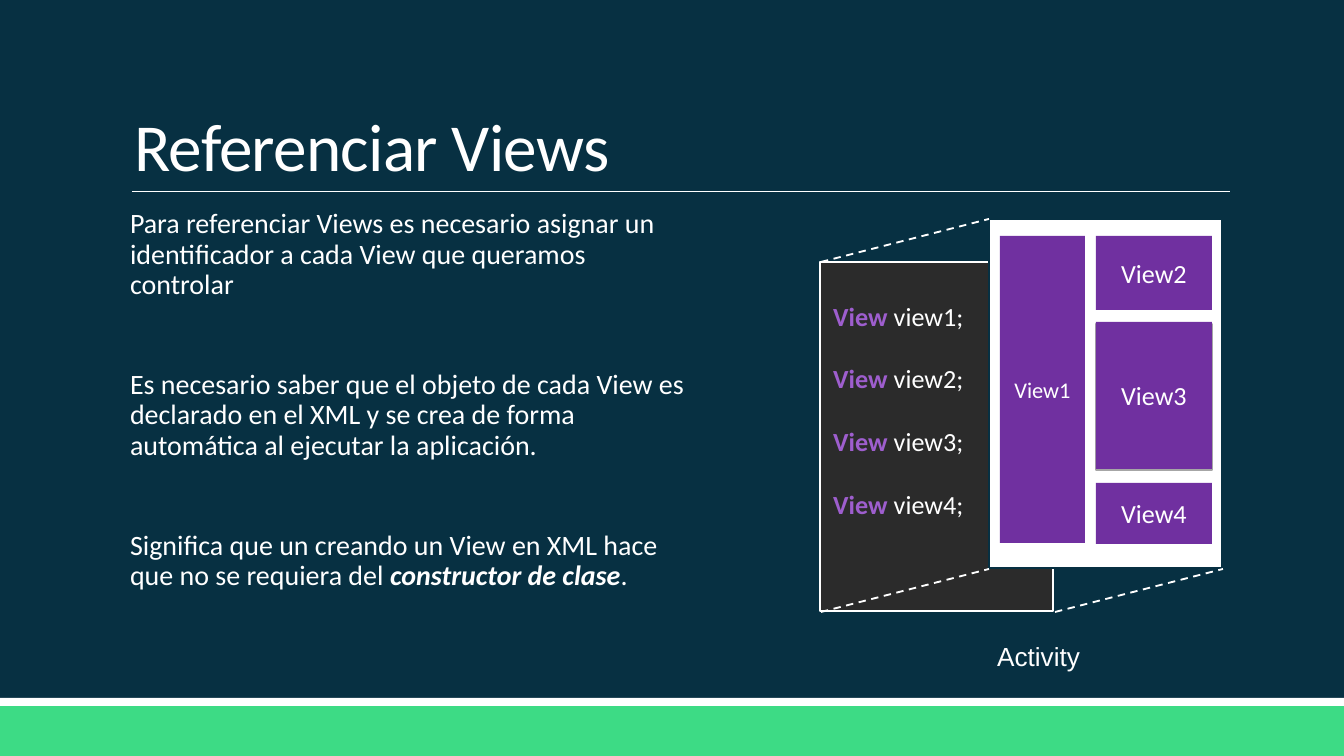
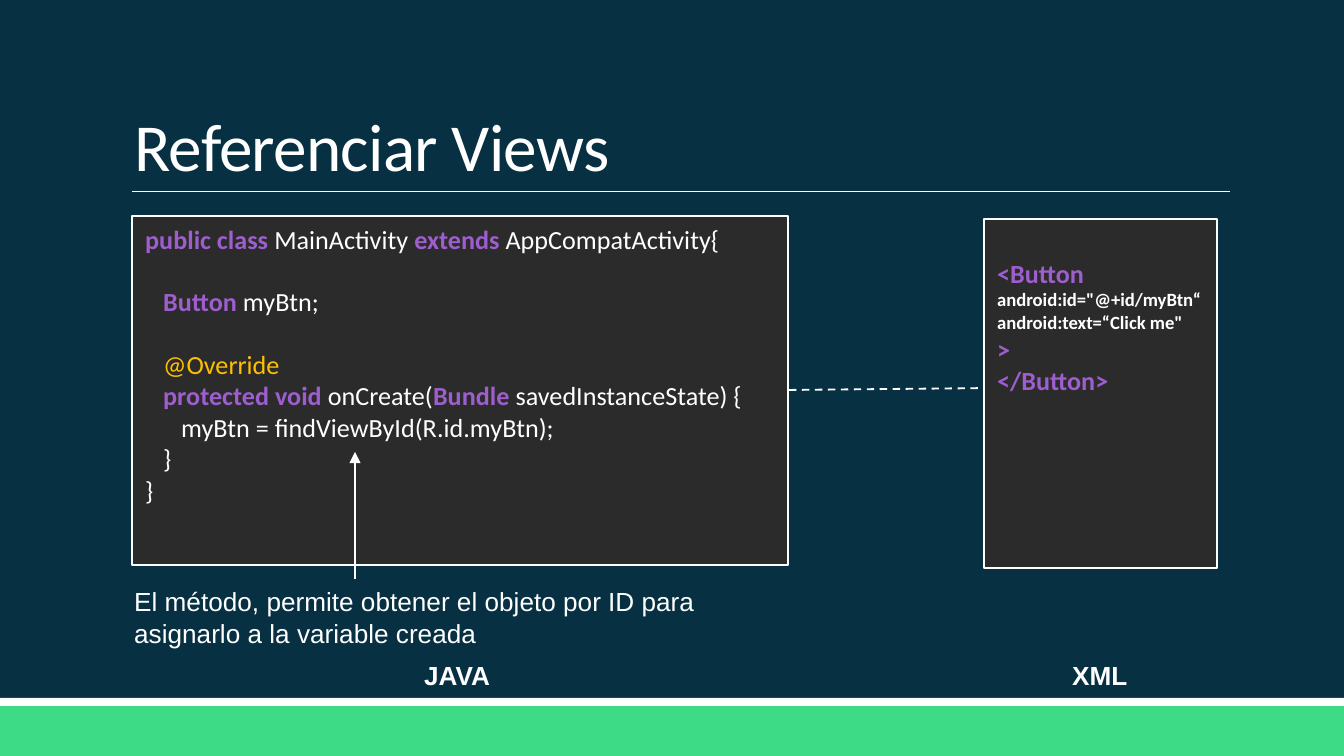
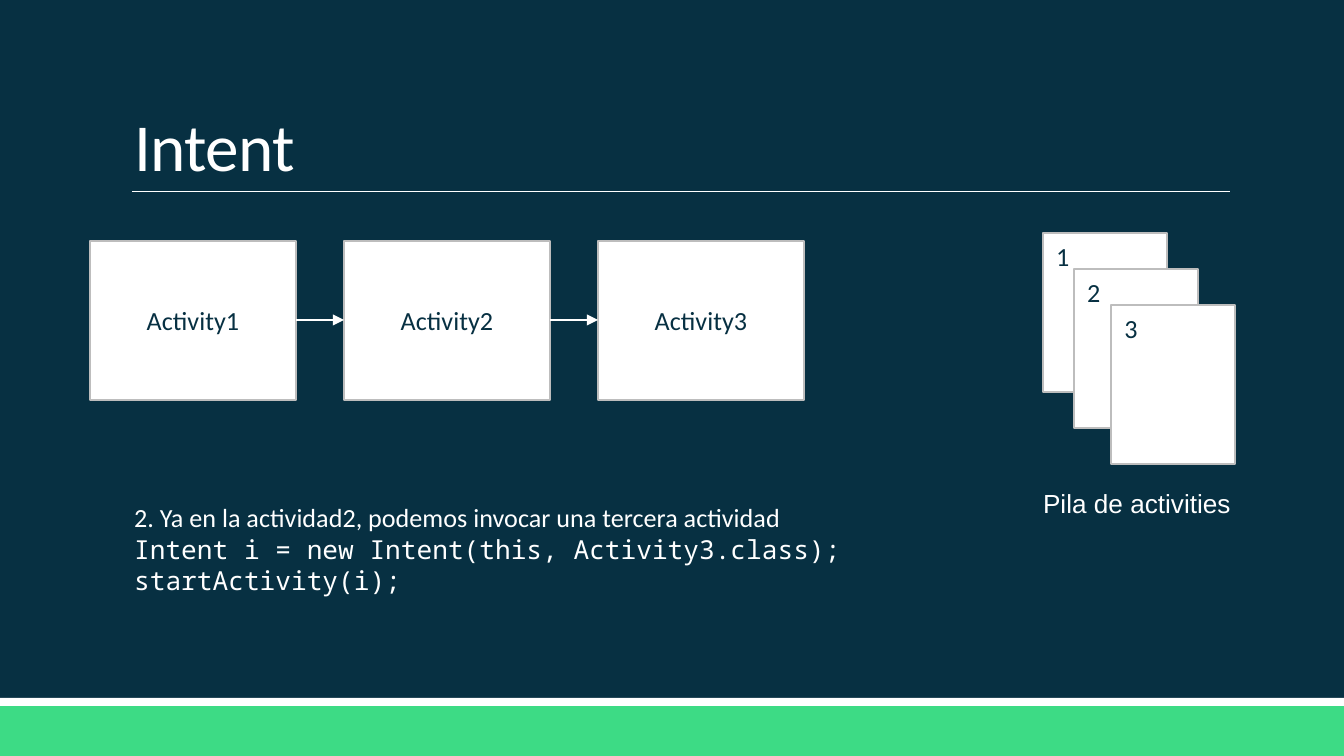
import dataclasses

import lxml.etree
import pptx
import pptx.dml.color
import pptx.enum.dml
import pptx.enum.shapes
import pptx.enum.text
import pptx.oxml.ns
import pptx.util

SCALE = 914400 / 134.4  # EMU in one px
ALIGN = pptx.enum.text.PP_ALIGN
ANCHOR = pptx.enum.text.MSO_ANCHOR
FIT = pptx.enum.text.MSO_AUTO_SIZE


@dataclasses.dataclass(frozen=True)
class Theme:
    navy: str = "073042"
    green: str = "3DDB85"
    white: str = "FFFFFF"
    dark: str = "2B2B2B"
    purple: str = "7030A0"
    lilac: str = "9E5ECE"
    amber: str = "FFC000"
    grey: str = "A6A6A6"
    edge: str = "BDBDBD"
    sans: str = "Calibri"
    plain: str = "Arial"
    mono: str = "Noto Sans Mono"
    head: int = 36
    body: int = 15
    text: int = 14
    small: int = 12
    tiny: int = 10
    border: float = 1.25
    blank: float = 16.8  # height of one empty code line


T = Theme()


@dataclasses.dataclass(frozen=True)
class Style:
    font: str = T.sans
    size: int = T.text
    color: str = T.white
    bold: bool = False
    italic: bool = False


CODE = Style()
KEY = Style(color=T.lilac, bold=True)
MARK = Style(color=T.amber)
ATTR = Style(size=T.tiny, bold=True)
MONO = Style(font=T.mono)
INK = Style(color=T.navy)
BODY = Style(size=T.body)
STRONG = Style(size=T.body, bold=True, italic=True)
LABEL = Style(font=T.plain)
TAG = Style(font=T.plain, bold=True)


@dataclasses.dataclass
class Line:
    runs: list
    indent: int = 0
    gap: float = 0


def px(n):
    return pptx.util.Emu(round(n * SCALE))


def rgb(code):
    return pptx.dml.color.RGBColor.from_string(code)


# Text

def format_run(run, style):
    font = run.font
    font.name, font.size = style.font, pptx.util.Pt(style.size)
    font.bold, font.italic = style.bold, style.italic
    font.color.rgb = rgb(style.color)


def write(frame, lines, align=ALIGN.LEFT):
    for i, line in enumerate(lines):
        para = frame.add_paragraph() if i else frame.paragraphs[0]
        para.alignment = align
        para.space_before = pptx.util.Pt(line.gap)
        props = para._p.get_or_add_pPr()
        props.set("marL", str(px(line.indent)))
        props.set("indent", "0")
        for text, style in line.runs:
            run = para.add_run()
            run.text = text
            format_run(run, style)


def label(slide, box, lines, align=ALIGN.LEFT, wrap=True):
    frame = slide.shapes.add_textbox(*map(px, box)).text_frame
    frame.word_wrap = wrap
    frame.auto_size = FIT.SHAPE_TO_FIT_TEXT
    write(frame, lines, align)


def title(slide, text):
    shape = slide.shapes.title
    shape.left, shape.top, shape.width, shape.height = map(px, (121, 32, 1109, 160))
    frame = shape.text_frame
    frame.text = text
    frame.vertical_anchor = ANCHOR.BOTTOM
    frame.auto_size = FIT.NONE
    para = frame.paragraphs[0]
    para.alignment = ALIGN.LEFT
    para.line_spacing = 0.85
    run = para.runs[0]
    format_run(run, Style(size=T.head))
    run.font._element.set("spc", "-40")


def body(slide, box, lines):
    shape = slide.placeholders[1]
    shape.left, shape.top, shape.width, shape.height = map(px, box)
    frame = shape.text_frame
    frame.auto_size = FIT.NONE
    frame.margin_left = frame.margin_right = 0
    write(frame, lines)
    for para in frame.paragraphs:
        para.line_spacing = 0.9
        para.space_after = pptx.util.Pt(1.5)
        lxml.etree.SubElement(para._p.pPr, pptx.oxml.ns.qn("a:buNone"))


# Shapes

def rect(slide, box, fill, edge=None):
    kind = pptx.enum.shapes.MSO_SHAPE.RECTANGLE
    shape = slide.shapes.add_shape(kind, *map(px, box))
    shape.shadow.inherit = False
    shape.fill.solid()
    shape.fill.fore_color.rgb = rgb(fill)
    if edge:
        shape.line.color.rgb = rgb(edge)
        shape.line.width = pptx.util.Pt(T.border)
    else:
        shape.line.fill.background()
    return shape


def tile(slide, box, text, fill, style, edge=None):
    frame = rect(slide, box, fill, edge).text_frame
    frame.vertical_anchor = ANCHOR.MIDDLE
    write(frame, [Line([(text, style)])], ALIGN.CENTER)


def panel(slide, box, lines, fill=T.dark, edge=T.white, top=7):
    frame = rect(slide, box, fill, edge).text_frame
    frame.vertical_anchor = ANCHOR.TOP
    frame.margin_top = px(top)
    write(frame, lines)


def link(slide, start, end, width=1, dash=False, arrow=False):
    kind = pptx.enum.shapes.MSO_CONNECTOR.STRAIGHT
    conn = slide.shapes.add_connector(kind, *map(px, start + end))
    conn.line.color.rgb = rgb(T.white)
    conn.line.width = pptx.util.Pt(width)
    if dash:
        conn.line.dash_style = pptx.enum.dml.MSO_LINE.DASH
    qn = pptx.oxml.ns.qn
    if arrow:
        tail = lxml.etree.SubElement(conn.line._get_or_add_ln(), qn("a:tailEnd"))
        tail.set("type", "triangle")
    lxml.etree.SubElement(conn._element.spPr, qn("a:effectLst"))


# Slides

def start(deck, layout, text):
    slide = deck.slides.add_slide(deck.slide_layouts[layout])
    rect(slide, (0, 706, 1344, 50), T.green)
    rect(slide, (0, 698, 1344, 8), T.white)
    link(slide, (132, 192), (1230, 192), width=0.5)
    title(slide, text)
    return slide


def views(deck):
    slide = start(deck, 1, "Referenciar Views")
    body(slide, (121, 203, 573, 444), [
        Line(runs, indent=9, gap=36) for runs in (
            [("Para referenciar Views es necesario asignar un identificador "
              "a cada View que queramos controlar", BODY)],
            [("Es necesario saber que el objeto de cada View es declarado en el XML "
              "y se crea de forma automática al ejecutar la aplicación.", BODY)],
            [("Significa que un creando un View en XML hace que no se requiera del ", BODY),
             ("constructor de clase", STRONG), (".", BODY)],
        )])

    # Code sheet behind, screen in front
    panel(slide, (820, 262, 233, 349), [
        Line([("View", KEY), (f" view{n};", CODE)], gap=T.blank if n > 1 else 0)
        for n in range(1, 5)], top=38)
    rect(slide, (989, 219, 233, 349), T.white, T.navy)
    rect(slide, (1096, 324, 116, 146), T.grey, T.grey)
    for x, y in ((821, 262), (821, 612), (1055, 612)):
        link(slide, (x, y), (x + 168, y - 43), dash=True)
    tile(slide, (1000, 236, 85, 307), "View1", T.purple, Style(size=T.small))
    for n, top, high in ((2, 236, 74), (3, 322, 147), (4, 483, 61)):
        tile(slide, (1096, top, 116, high), f"View{n}", T.purple, CODE)
    label(slide, (984, 634, 218, 46), [Line([("Activity", LABEL)])])


def code(deck):
    slide = start(deck, 5, "Referenciar Views")
    link(slide, (789, 390), (1000, 388), dash=True)
    for box, text in (((1059, 653, 83, 46), "XML"), ((411, 653, 98, 46), "JAVA")):
        label(slide, box, [Line([(text, TAG)])], wrap=False)

    # Java class
    step = 18
    panel(slide, (132, 216, 656, 349), [
        Line([("public class ", KEY), ("MainActivity ", CODE),
              ("extends ", KEY), ("AppCompatActivity{", CODE)]),
        Line([("Button ", KEY), ("myBtn;", CODE)], step, T.blank),
        Line([("@Override", MARK)], step, T.blank),
        Line([("protected void ", KEY), ("onCreate(", CODE),
              ("Bundle ", KEY), ("savedInstanceState) {", CODE)], step),
        Line([("myBtn = findViewById(R.id.myBtn);", CODE)], 2 * step),
        Line([("}", CODE)], step),
        Line([("}", CODE)]),
    ])

    # XML tag
    panel(slide, (984, 219, 233, 349), [
        Line([(text, style)]) for text, style in (
            ("<Button", KEY),
            ('android:id="@+id/myBtn“', ATTR),
            ('android:text=“Click me"', ATTR),
            (">", KEY),
            ("</Button>", KEY),
        )], top=38)

    label(slide, (121, 579, 668, 77), [Line([(
        "El método, permite obtener el objeto por ID para "
        "asignarlo a la variable creada", LABEL)])])
    link(slide, (355, 579), (355, 452), arrow=True)


def intent(deck):
    slide = start(deck, 5, "Intent")
    label(slide, (121, 495, 810, 109), [
        Line([("2. Ya en la actividad2, podemos invocar una tercera actividad", CODE)]),
        Line([("Intent i = new Intent(this, Activity3.class);", MONO)]),
        Line([("startActivity(i);", MONO)]),
    ])

    # Chain of activities
    wide, step = 206, 254
    for n in range(3):
        left = 90 + n * step
        tile(slide, (left, 241, wide, 159), f"Activity{n + 1}", T.white, INK, T.edge)
        if n:
            link(slide, (left - step + wide, 320), (left, 320), arrow=True)

    # Stack of cards
    for n, left in enumerate((1043, 1074, 1111)):
        panel(slide, (left, 233 + 36 * n, 124, 159),
              [Line([(str(n + 1), INK)])], T.white, T.edge)
    label(slide, (989, 481, 296, 46), [Line([("Pila de activities", LABEL)])],
          ALIGN.CENTER)


def main():
    deck = pptx.Presentation()
    deck.slide_width, deck.slide_height = px(1344), px(756)
    fill = deck.slide_master.background.fill
    fill.solid()
    fill.fore_color.rgb = rgb(T.navy)
    views(deck)
    code(deck)
    intent(deck)
    deck.save("out.pptx")


if __name__ == "__main__":
    main()
